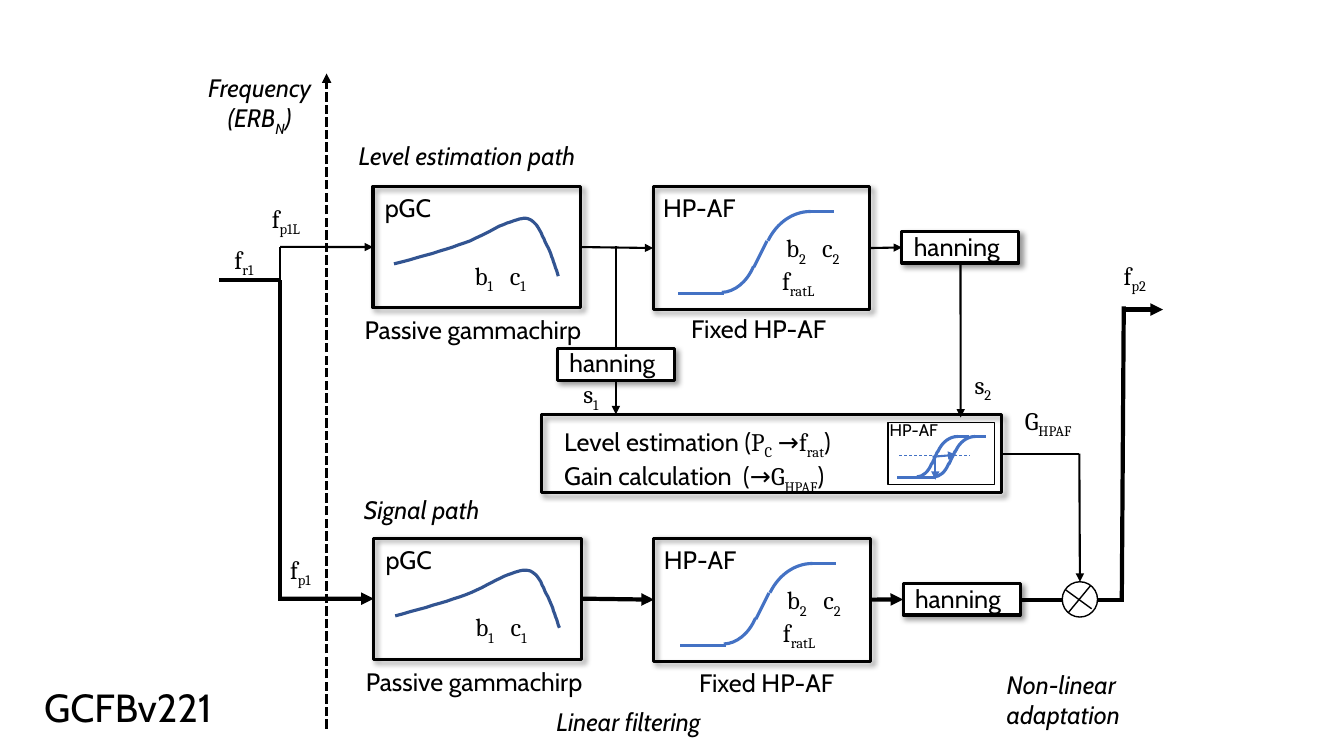
import pptx
import pptx.util
import pptx.dml.color
import pptx.enum.dml
import pptx.enum.shapes
import pptx.enum.text
import pptx.oxml
import pptx.oxml.ns
import lxml.etree

BLACK = pptx.dml.color.RGBColor(0, 0, 0)
WHITE = pptx.dml.color.RGBColor(255, 255, 255)
BLUE = pptx.dml.color.RGBColor(0x44, 0x72, 0xC4)
NAVY = pptx.dml.color.RGBColor(0x32, 0x54, 0x91)
KIND = pptx.enum.shapes.MSO_SHAPE
DASH = pptx.enum.dml.MSO_LINE
MID = pptx.enum.text.PP_ALIGN.CENTER
PLAIN = {"name": "Cabin", "size": pptx.util.Pt(18)}
SLANT = {**PLAIN, "italic": True}
SMALL = {**PLAIN, "size": pptx.util.Pt(12)}
TITLE = {**PLAIN, "size": pptx.util.Pt(28)}

# Places are on an inch grid; unit() turns them into Cm.
# Both paths share one layout: name, shift right, shift down, wire width
ROWS = [("level", 0, 0, 1.5), ("signal", 0.01, 3.49, 3)]
ROW_BOXES = [  # name, left, top, width, height, fill
    ("pgc", 3.70, 1.85, 2.06, 1.20, None),
    ("hpaf", 6.48, 1.85, 2.15, 1.22, None),
    ("hann", 8.95, 2.30, 1.16, 0.31, WHITE),
]
# Labels: lines, left, top, width, height, wrap, format
# $ switches to the symbol font and back, | to subscript and back
ROW_LABELS = [
    (["pGC"], 3.72, 1.86, 0.96, 0.4, True, PLAIN),
    (["$b|1"], 4.61, 2.53, 0.42, 0.4, False, PLAIN),
    (["$c|1"], 4.96, 2.53, 0.42, 0.4, False, PLAIN),
    (["Passive gammachirp"], 3.52, 3.07, 2.65, 0.4, True, PLAIN),
    (["HP-AF"], 6.48, 1.86, 0.96, 0.4, True, PLAIN),
    (["$b|2"], 7.70, 2.26, 0.42, 0.4, False, PLAIN),
    (["$c|2"], 8.06, 2.26, 0.42, 0.4, False, PLAIN),
    (["$f|ratL"], 7.66, 2.58, 0.67, 0.4, False, PLAIN),
    (["hanning"], 8.97, 2.25, 1.15, 0.4, True, PLAIN),
]
LABELS = [
    (["Level estimation path"], 3.46, 1.34, 3.63, 0.4, True, SLANT),
    (["Signal path"], 3.51, 4.86, 3.63, 0.4, True, SLANT),
    (["Linear filtering"], 5.42, 6.96, 2.05, 0.4, True, SLANT),
    (["Non-linear", "adaptation"], 9.89, 6.59, 1.46, 0.71, True, SLANT),
    (["Fixed HP-AF"], 6.76, 3.06, 1.56, 0.4, False, PLAIN),
    (["Fixed HP-AF"], 6.84, 6.57, 1.56, 0.4, False, PLAIN),
    (["hanning"], 5.55, 3.40, 1.15, 0.4, True, PLAIN),
    (["HP-AF"], 8.73, 4.12, 0.75, 0.3, True, SMALL),
    (["Level estimation ($P|C|$ →$f|rat|$)", "Gain calculation  (→$G|HPAF|$)"],
     5.50, 4.18, 3.17, 0.73, True, PLAIN),
    (["$f|r1"], 2.23, 2.37, 0.49, 0.4, False, PLAIN),
    (["$f|p1L"], 2.60, 1.97, 0.61, 0.4, False, PLAIN),
    (["$f|p1"], 2.78, 5.45, 0.49, 0.4, False, PLAIN),
    (["$f|p2"], 11.05, 2.53, 0.49, 0.4, False, PLAIN),
    (["$s|1"], 5.69, 3.71, 0.41, 0.4, False, PLAIN),
    (["$s|2"], 9.57, 3.61, 0.41, 0.4, False, PLAIN),
    (["$G|HPAF"], 10.07, 3.97, 0.88, 0.4, False, PLAIN),
    (["GCFBv221"], 0.34, 6.73, 1.96, 0.57, False, TITLE),
]
BOXES = [
    ("gain", 5.37, 4.11, 4.57, 0.78, None),
    ("hann1", 5.53, 3.46, 1.16, 0.31, WHITE),
]
# Wires: start, end, width, arrow; an end is a point or (box, side)
BACK = [
    ((2.78, 2.45), (2.78, 2.79), 1.5, False),
    ((2.78, 2.78), (2.17, 2.78), 3, False),
    ((2.78, 2.78), (2.78, 5.96), 3, False),
    ((6.11, 2.44), (6.11, 4.11), 1.5, True),
    ((11.15, 5.95), (9.08, 5.95), 3, False),
    ((11.15, 3.04), (11.13, 5.96), 3, False),
    ((11.14, 3.07), (11.54, 3.07), 3, True),
]
FRONT = [
    (("level hann", 2), (9.53, 4.14), 1.5, True),
    (("gain", 3), (10.71, 4.5), 1.5, False),
    ((10.71, 4.5), ("mixer", 0), 1.5, True),
    ((10.82, 5.81), (10.60, 6.08), 1, False),
    ((10.83, 6.04), (10.57, 5.85), 1, False),
]
# Gammachirp: start, then cubic pieces of two handles and an end
CHIRP = [(3.91, 2.62), (4.17, 2.55), (4.42, 2.48), (4.61, 2.41),
         (4.80, 2.34), (4.95, 2.23), (5.07, 2.20),
         (5.18, 2.16), (5.23, 2.15), (5.29, 2.20),
         (5.35, 2.24), (5.39, 2.37), (5.44, 2.46),
         (5.48, 2.55), (5.51, 2.65), (5.54, 2.74)]
# Sigmoid parts, measured from its top left corner
ARCS = [(0.82, 0, 0.98, 1.19, "flipH", 162, 194.49),
        (0.04, -0.27, 0.76, 1.07, "flipV", 162.7, 191.72)]
LINES = [(1.28, 0, 1.55, 0), (0.45, 0.81, 0, 0.81), (0.88, 0.29, 0.75, 0.55)]
SIGMOIDS = [(6.73, 2.10, 1, 1), (6.75, 5.59, 1, 1),
            (8.90, 4.33, 0.46, 0.5), (9.07, 4.33, 0.46, 0.5)]

deck = pptx.Presentation()


def unit(*nums):
    return [pptx.util.Cm(round(2.54 * num, 2)) for num in nums]


deck.slide_width, deck.slide_height = unit(13.333, 7.5)
page = deck.slides.add_slide(deck.slide_layouts[6]).shapes
boxes = {}


def style(shape, color, width, fill=None):
    shape.shadow.inherit = False
    shape.line.color.rgb = color
    shape.line.width = pptx.util.Pt(width)
    if fill is None:
        shape.fill.background()
    else:
        shape.fill.solid()
        shape.fill.fore_color.rgb = fill


def block(name, left, top, wide, high, fill, kind=KIND.RECTANGLE, width=2.25, shade=True):
    shape = page.add_shape(kind, *unit(left, top, wide, high))
    style(shape, BLACK, width, fill)
    if shade:
        shape._element.spPr.find(pptx.oxml.ns.qn("a:effectLst")).append(pptx.oxml.parse_xml(
            f'<a:outerShdw {pptx.oxml.ns.nsdecls("a")} blurRad="50800" dist="38100" '
            'dir="2700000" algn="tl" rotWithShape="0"><a:prstClr val="black">'
            '<a:alpha val="40000"/></a:prstClr></a:outerShdw>'))
    boxes[name] = shape


def wire(start, end, width, arrow, color=BLACK, dash=None, home=page):
    spots = [(0, 0) if isinstance(tip[0], str) else tip for tip in (start, end)]
    link = home.add_connector(pptx.enum.shapes.MSO_CONNECTOR.STRAIGHT,
                              *unit(*spots[0], *spots[1]))
    for tip, join in ((start, link.begin_connect), (end, link.end_connect)):
        if isinstance(tip[0], str):
            join(boxes[tip[0]], tip[1])
    link.line.color.rgb = color
    link.line.width = pptx.util.Pt(width)
    if dash:
        link.line.dash_style = dash
    if arrow:
        lxml.etree.SubElement(link.line._get_or_add_ln(),
                              pptx.oxml.ns.qn("a:tailEnd"), type="triangle")
    lxml.etree.SubElement(link._element.spPr, pptx.oxml.ns.qn("a:effectLst"))


def label(lines, left, top, wide, high, wrap, form, align=None):
    frame = page.add_textbox(*unit(left, top, wide, high)).text_frame
    frame.word_wrap = wrap
    frame.auto_size = pptx.enum.text.MSO_AUTO_SIZE.SHAPE_TO_FIT_TEXT
    for row, line in enumerate(lines):
        para = frame.add_paragraph() if row else frame.paragraphs[0]
        para.alignment = align
        for turn, part in enumerate(line.split("$")):
            for step, bit in enumerate(part.split("|")):
                if not bit:
                    continue
                run = para.add_run()
                run.text = bit
                for key, value in form.items():
                    setattr(run.font, key, value)
                run.font.color.rgb = BLACK
                if turn % 2:
                    run.font.name = "Cambria"
                if step % 2:
                    run._r.get_or_add_rPr().set("baseline", "-25000")


def chirp(right, down):
    dots = []
    for first in range(0, len(CHIRP) - 1, 3):
        a, b, c, d = CHIRP[first:first + 4]
        for step in range(1, 11):
            t = step / 10
            s = 1 - t
            dots.append(unit(*(s**3 * a[i] + 3 * s * s * t * b[i] + 3 * s * t * t * c[i]
                               + t**3 * d[i] + (right, down)[i] for i in (0, 1))))
    pen = page.build_freeform(*unit(CHIRP[0][0] + right, CHIRP[0][1] + down))
    pen.add_line_segments(dots, close=False)
    style(pen.convert_to_shape(), NAVY, 2.25)


def sigmoid(left, top, wide, high):
    home = page.add_group_shape().shapes
    for x, y, w, h, flip, begin, end in ARCS:
        arc = home.add_shape(KIND.ARC, *unit(left + x * wide, top + y * high, w * wide, h * high))
        arc.adjustments[0], arc.adjustments[1] = begin, end
        arc._element.spPr.find(pptx.oxml.ns.qn("a:xfrm")).set(flip, "1")
        style(arc, BLUE, 2.25)
    for x, y, u, v in LINES:
        wire((left + x * wide, top + y * high), (left + u * wide, top + v * high),
             2.25, False, BLUE, home=home)


wire((3.24, 7.23), (3.24, 0.73), 2.25, True, dash=DASH.SQUARE_DOT)
for item in BACK:
    wire(*item)
for item in BOXES:
    block(*item)
block("inset", 8.81, 4.19, 1.06, 0.62, None, width=1, shade=False)
block("mixer", 10.54, 5.77, 0.35, 0.35, WHITE, KIND.OVAL, 1, False)
for path, right, down, width in ROWS:
    for name, left, top, *rest in ROW_BOXES:
        block(f"{path} {name}", left + right, top + down, *rest)
    pgc, hpaf, hann = (f"{path} {item[0]}" for item in ROW_BOXES)
    wire((2.78, 2.45 + down), (pgc, 1), width, True)
    wire((pgc, 3), (hpaf, 1), width, True)
    wire((hpaf, 3), (hann, 1), width, True)
    chirp(right, down)
    for lines, left, top, *rest in ROW_LABELS:
        label(lines, left + right, top + down, *rest)
for item in FRONT:
    wire(*item)
for item in SIGMOIDS:
    sigmoid(*item)
wire((8.92, 4.52), (9.62, 4.52), 0.5, False, BLUE, DASH.DASH)
wire((9.28, 4.53), (9.28, 4.76), 1.5, True, BLUE)
wire((9.25, 4.53), (9.49, 4.51), 1.5, True, BLUE)
for item in LABELS:
    label(*item)
label(["Frequency", "(ERB|N|)"], 1.92, 0.67, 1.31, 0.71, False, SLANT, MID)
deck.save("out.pptx")
